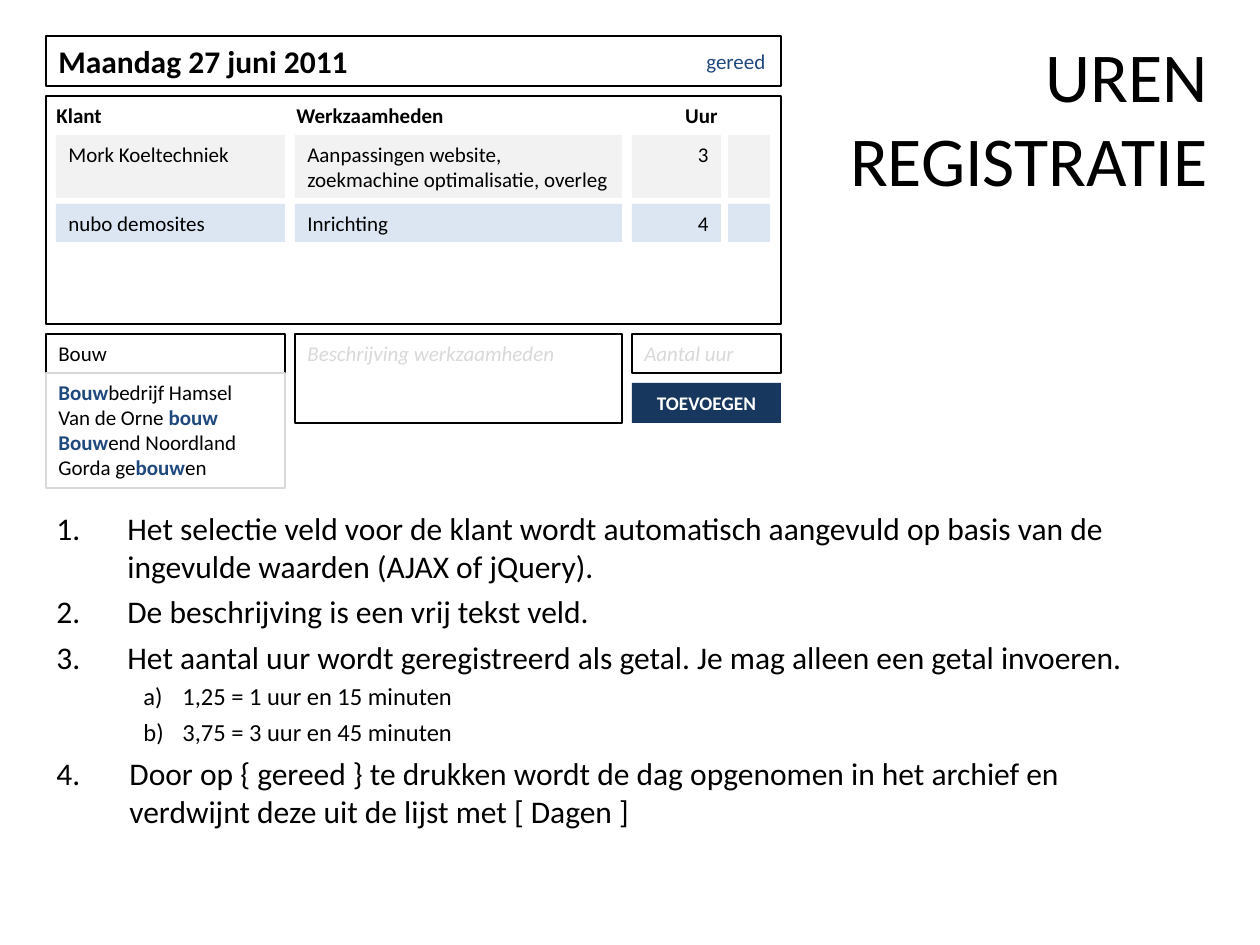
from lxml.etree import SubElement
from pptx import Presentation
from pptx.dml.color import RGBColor
from pptx.enum.shapes import MSO_SHAPE
from pptx.enum.text import MSO_ANCHOR, PP_ALIGN
from pptx.oxml.ns import qn
from pptx.util import Inches, Pt

PX = Inches(1) / 126
FONT = "Calibri"
BLACK = RGBColor(0x00, 0x00, 0x00)
WHITE = RGBColor(0xFF, 0xFF, 0xFF)
NAVY = RGBColor(0x17, 0x37, 0x5E)
BLUE = RGBColor(0x1F, 0x49, 0x7D)
PALE_BLUE = RGBColor(0xDC, 0xE6, 0xF2)
PALE_GREY = RGBColor(0xF2, 0xF2, 0xF2)
GREY = RGBColor(0xD9, 0xD9, 0xD9)

# Left and width of the columns Klant, Werkzaamheden, Uur and the empty last one
COLUMNS = [(56, 229), (295, 327), (632, 89), (728, 42)]
ENTRIES = [
    (135, 63, PALE_GREY,
     ["Mork Koeltechniek", "Aanpassingen website, zoekmachine optimalisatie, overleg", "3", ""]),
    (204, 38, PALE_BLUE, ["nubo demosites", "Inrichting", "4", ""]),
]
HEADINGS = [("Klant", 44, 72, PP_ALIGN.LEFT),
            ("Werkzaamheden", 284, 174, PP_ALIGN.LEFT),
            ("Uur", 672, 58, PP_ALIGN.RIGHT)]
# Each suggestion: text before the match, the match, text after it
SUGGESTIONS = [("", "Bouw", "bedrijf Hamsel"), ("Van de Orne ", "bouw", ""),
               ("", "Bouw", "end Noordland"), ("Gorda ge", "bouw", "en")]
# Each note: level, left margin, hanging indent, text
NOTES = [
    (0, 71, 71, "Het selectie veld voor de klant wordt automatisch aangevuld op basis van de "
                "ingevulde waarden (AJAX of jQuery)."),
    (0, 71, 71, "De beschrijving is een vrij tekst veld."),
    (0, 71, 71, "Het aantal uur wordt geregistreerd als getal. Je mag alleen een getal invoeren."),
    (1, 126, 39, "1,25 = 1 uur en 15 minuten"),
    (1, 126, 39, "3,75 = 3 uur en 45 minuten"),
    (0, 73, 73, "Door op { gereed } te drukken wordt de dag opgenomen in het archief en "
                "verdwijnt deze uit de lijst met [ Dagen ]"),
]
# Per level: numbering scheme, text size, space before
NOTE_STYLES = [("arabicPeriod", 18, 4.3), ("alphaLcParenR", 14, 3.4)]


def px(length):
    return round(length * PX)


def add_run(paragraph, text, size=12, color=BLACK, bold=False, italic=False):
    run = paragraph.add_run()
    run.text = text
    font = run.font
    font.name, font.size, font.bold, font.italic = FONT, Pt(size), bold, italic
    font.color.rgb = color


def add_box(slide, left, top, width, height, fill=None, line=None, line_width=1):
    box = slide.shapes.add_shape(MSO_SHAPE.RECTANGLE, px(left), px(top), px(width), px(height))
    box.shadow.inherit = False
    if fill is None:
        box.fill.background()
    else:
        box.fill.solid()
        box.fill.fore_color.rgb = fill
    if line is None:
        box.line.fill.background()
    else:
        box.line.color.rgb = line
        box.line.width = Pt(line_width)
    return box


def write(box, text, align=PP_ALIGN.LEFT, anchor=MSO_ANCHOR.TOP, **style):
    box.text_frame.vertical_anchor = anchor
    paragraph = box.text_frame.paragraphs[0]
    paragraph.alignment = align
    add_run(paragraph, text, **style)


def add_label(slide, left, top, width, height, text, align=PP_ALIGN.LEFT, **style):
    label = slide.shapes.add_textbox(px(left), px(top), px(width), px(height))
    label.text_frame.word_wrap = False
    write(label, text, align, **style)
    return label


def next_paragraph(frame, index):
    return frame.add_paragraph() if index else frame.paragraphs[0]


def add_title(slide):
    title = add_label(slide, 833, 26, 387, 183, "UREN", PP_ALIGN.RIGHT, size=40)
    second_line = title.text_frame.add_paragraph()
    second_line.alignment = PP_ALIGN.RIGHT
    add_run(second_line, "REGISTRATIE", size=40)


def add_day_header(slide):
    header = add_box(slide, 46, 36, 735, 50, line=BLACK, line_width=0.75)
    write(header, "Maandag 27 juni 2011", anchor=MSO_ANCHOR.MIDDLE, size=18, bold=True)
    add_label(slide, 694, 42, 86, 38, "gereed", color=BLUE)


def add_entry_list(slide):
    add_box(slide, 46, 96, 735, 228, line=BLACK)
    for text, left, width, align in HEADINGS:
        add_label(slide, left, 96, width, 38, text, align, bold=True)
    for top, height, fill, values in ENTRIES:
        for (left, width), value in zip(COLUMNS, values):
            cell = add_box(slide, left, top, width, height, fill=fill)
            if value:
                write(cell, value, PP_ALIGN.RIGHT if value.isdigit() else PP_ALIGN.LEFT)


def add_entry_form(slide):
    client = add_box(slide, 46, 334, 239, 39, line=BLACK)
    write(client, "Bouw", anchor=MSO_ANCHOR.MIDDLE)
    add_box(slide, 295, 334, 327, 89, line=BLACK)
    add_label(slide, 295, 334, 276, 38, "Beschrijving werkzaamheden", color=GREY, italic=True)
    add_box(slide, 632, 334, 149, 39, line=BLACK)
    add_label(slide, 632, 334, 116, 38, "Aantal uur", color=GREY, italic=True)
    button = add_box(slide, 632, 383, 149, 40, fill=NAVY)
    write(button, "TOEVOEGEN", PP_ALIGN.CENTER, MSO_ANCHOR.MIDDLE,
          size=11, color=WHITE, bold=True)


def add_suggestions(slide):
    dropdown = add_box(slide, 46, 373, 239, 115, line=GREY, line_width=0.75)
    frame = dropdown.text_frame
    frame.vertical_anchor = MSO_ANCHOR.TOP
    for index, (before, match, after) in enumerate(SUGGESTIONS):
        paragraph = next_paragraph(frame, index)
        paragraph.alignment = PP_ALIGN.LEFT
        if before:
            add_run(paragraph, before)
        add_run(paragraph, match, color=BLUE, bold=True)
        if after:
            add_run(paragraph, after)


def add_notes_list(slide):
    frame = slide.shapes.add_textbox(px(44), px(503), px(1142), px(407)).text_frame
    frame.word_wrap = True
    for index, (level, margin, hanging, text) in enumerate(NOTES):
        scheme, size, space = NOTE_STYLES[level]
        paragraph = next_paragraph(frame, index)
        paragraph.level = level
        paragraph.space_before = Pt(space)
        add_run(paragraph, text, size=size)
        properties = paragraph._p.get_or_add_pPr()
        properties.set("marL", str(px(margin)))
        properties.set("indent", str(-px(hanging)))
        SubElement(properties, qn("a:buFont"), typeface="+mj-lt")
        SubElement(properties, qn("a:buAutoNum"), type=scheme)


def main():
    presentation = Presentation()
    presentation.slide_width = Inches(10)
    presentation.slide_height = Inches(7.5)
    slide = presentation.slides.add_slide(presentation.slide_layouts[6])
    add_title(slide)
    add_day_header(slide)
    add_entry_list(slide)
    add_entry_form(slide)
    add_suggestions(slide)
    add_notes_list(slide)
    presentation.save("out.pptx")


if __name__ == "__main__":
    main()
